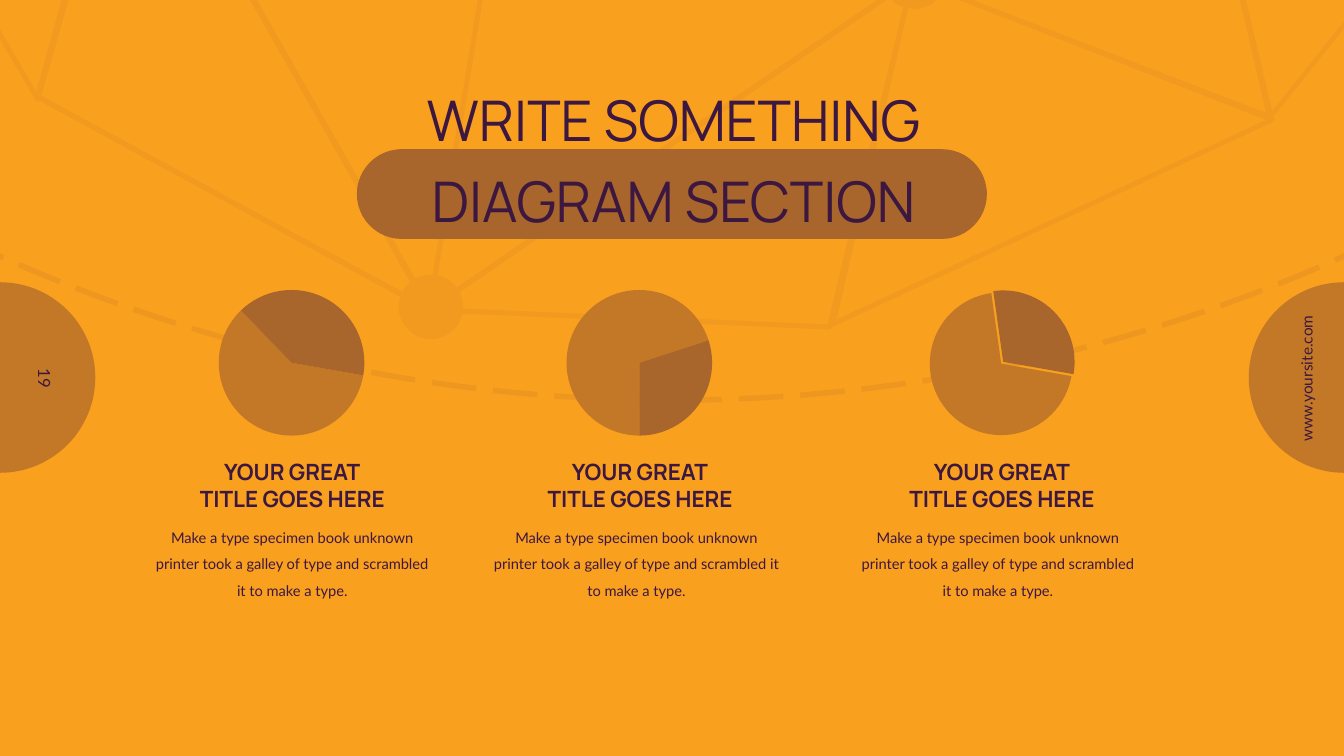
from math import asin, cos, pi, radians, sin

from pptx import Presentation
from pptx.chart.data import CategoryChartData
from pptx.dml.color import RGBColor
from pptx.enum.chart import XL_CHART_TYPE as ChartType
from pptx.enum.dml import MSO_LINE_DASH_STYLE as Dash
from pptx.enum.shapes import MSO_SHAPE as Preset
from pptx.enum.text import MSO_ANCHOR as Anchor, PP_ALIGN as Align
from pptx.oxml import parse_xml
from pptx.oxml.ns import nsdecls, qn
from pptx.util import Inches, Pt

COLORS = {
    "background": "F9A01E",
    "ink": "3C1740",
    "disc": "C37827",
    "accent": "A8652C",
}
HEADING, BODY = "Manrope", "Lato"
CELL = 0.1  # inches per grid column and row
COLUMNS, ROWS = 133.33, 75


def grid(*lengths):
    return [Inches(length * CELL) for length in lengths]


def color(name):
    return RGBColor.from_string(COLORS[name])


def arc(center, radius, start, end, steps):
    """Points from one angle to another, in degrees, clockwise from the right."""
    angles = [radians(start + (end - start) * i / steps) for i in range(steps + 1)]
    return [(center[0] + radius * cos(a), center[1] + radius * sin(a)) for a in angles]


class SlideBuilder:
    def __init__(self, presentation):
        self.slide = presentation.slides.add_slide(presentation.slide_layouts[6])
        self.slide.background.fill.solid()
        self.slide.background.fill.fore_color.rgb = color("background")
        self.shapes = self.slide.shapes

    def fade(self, shape, percent):
        for fill in shape.element.spPr.iter(qn("a:srgbClr")):
            fill.append(parse_xml(f'<a:alpha {nsdecls("a")} val="{percent * 1000}"/>'))

    def solid(self, shape, fill):
        shape.shadow.inherit = False
        shape.fill.solid()
        shape.fill.fore_color.rgb = color(fill)
        shape.line.fill.background()

    def preset(self, kind, box, fill):
        shape = self.shapes.add_shape(kind, *grid(*box))
        self.solid(shape, fill)
        return shape

    def outline(self, points):
        points = [grid(*point) for point in points]
        builder = self.shapes.build_freeform(*points[0])
        builder.add_line_segments(points[1:], close=True)
        return builder.convert_to_shape()

    def veil(self, points, percent):
        shape = self.outline(points)
        self.solid(shape, "ink")
        self.fade(shape, percent)

    def dashes(self, points, width, percent):
        shape = self.outline(points)
        shape.shadow.inherit = False
        shape.fill.background()
        shape.line.color.rgb = color("ink")
        shape.line.width = Pt(width)
        shape.line.dash_style = Dash.LONG_DASH
        self.fade(shape, percent)

    def text(self, box, lines, size, font, bold=False, spacing=None,
             rotation=0, wrap=True, anchor=Anchor.TOP, inset=0):
        shape = self.shapes.add_textbox(*grid(*box))
        shape.rotation = rotation
        frame = shape.text_frame
        frame.word_wrap = wrap
        frame.vertical_anchor = anchor
        frame.margin_left = frame.margin_right = Inches(inset)
        frame.margin_top = frame.margin_bottom = Inches(inset / 2)
        frame.text = "\n".join(lines)
        for paragraph in frame.paragraphs:
            paragraph.alignment = Align.CENTER
            paragraph.line_spacing = spacing
            paragraph.font.size = Pt(size)
            paragraph.font.name = font
            paragraph.font.bold = bold
            paragraph.font.color.rgb = color("ink")

    def pie(self, box, values, start, explosion=0):
        data = CategoryChartData()
        data.categories = ["1", "2"]
        data.add_series("Series 1", values)
        chart = self.shapes.add_chart(ChartType.PIE, *grid(*box), data).chart
        chart.has_legend = chart.has_title = False
        chart.font.size = Pt(10)
        chart.font.name = BODY
        chart.font.color.rgb = color("background")
        plot = chart.plots[0]
        plot.vary_by_categories = True
        series = plot.series[0]
        for index, fill in enumerate(["disc", "accent"]):
            point = series.points[index].format
            point.fill.solid()
            point.fill.fore_color.rgb = color(fill)
            point.line.fill.background()
        pie = series._element.getparent()
        for angle in pie.findall(qn("c:firstSliceAng")):
            pie.remove(angle)
        pie.append(parse_xml(f'<c:firstSliceAng {nsdecls("c")} val="{start}"/>'))
        if explosion:
            series._element.find(qn("c:dPt")).addprevious(
                parse_xml(f'<c:explosion {nsdecls("c")} val="{explosion}"/>'))
        # The pie fills its whole frame
        area = pie.getparent()
        for layout in area.findall(qn("c:layout")):
            area.remove(layout)
        sizes = {"x": 0, "y": 0, "w": 0.99, "h": 1}
        area.insert(0, parse_xml(
            f'<c:layout {nsdecls("c")}><c:manualLayout><c:layoutTarget val="inner"/>'
            '<c:xMode val="edge"/><c:yMode val="edge"/>'
            + "".join(f'<c:{key} val="{value}"/>' for key, value in sizes.items())
            + "</c:manualLayout></c:layout>"))


def network():
    """Links that meet in a round hub, as one outline."""
    def hub(start, end, steps=6):
        return arc((42.75, 30.45), 3.2, start, end, steps)

    return [
        (-2.3, 0), (-1.7, 0), (3.6, 9.1), (6.1, 0), (6.8, 0), (4.1, 9.5),
        *hub(208, 230), (24.8, 0), (25.5, 0),
        *hub(241, 273), (47.4, 0), (47.9, 0),
        *hub(282, 323), (87, 0), (88, 0),
        *hub(333, 363), (82.1, 32.2), (89.6, 0.7), (88.8, 0.4), (88.5, 0),
        (92.9, 0), (92.5, 0.4), (91.1, 0.9), (90.1, 0.8), (83, 31.7),
        (125.6, 11.9), (95.1, 0), (96.5, 0), (125.6, 11.2), (123, 0),
        (123.6, 0), (126.2, 11), (135, 0), (135.6, 0), (126.3, 11.6),
        (126.5, 11.8), (126.3, 12.1), (82.7, 32.4), (82.3, 32.7),
        *hub(12, 198, 30), (3.9, 10), (3.7, 10.1), (3.5, 9.9),
    ]


def dome():
    """A wide frame whose lower edge is a shallow arc."""
    radius, bottom, half = 162.7, 39.7, 69.1
    middle = COLUMNS / 2
    spread = asin(half / radius) * 180 / pi
    curve = arc((middle, bottom - radius), radius, 90 - spread, 90 + spread, 80)
    return [(-9.5, -9.1), (142.8, -9.1), (142.8, 20.8), *curve, (-9.5, 20.8)]


def main():
    presentation = Presentation()
    presentation.slide_width, presentation.slide_height = grid(COLUMNS, ROWS)
    builder = SlideBuilder(presentation)

    # Side discs with page number and address
    for edge in (0, COLUMNS):
        builder.preset(Preset.OVAL, (edge - 9.45, 28, 18.9, 18.9), "disc")
    builder.text((-0.3, 33.1, 9.5, 8.9), ["19"], 12, BODY, rotation=90,
                 anchor=Anchor.MIDDLE, inset=0.1)
    builder.text((122.3, 36.1, 14.7, 2.9), ["www.yoursite.com"], 11, BODY,
                 rotation=270, wrap=False, inset=0.1)

    # Background pattern
    builder.veil(network(), 4)
    builder.dashes(dome(), 4, 5)

    # Heading
    pill = builder.preset(Preset.ROUNDED_RECTANGLE, (35.4, 14.8, 62.5, 8.9), "accent")
    pill.adjustments[0] = 0.5
    builder.text((13.7, 7.2, 106.2, 15.5), ["WRITE SOMETHING", "DIAGRAM SECTION"],
                 40, HEADING, spacing=1.2)

    # Pies with captions: pie left, title left, body left, body width
    topics = [
        (21.7, 18, 15, 28, (60, 40), 100, 0),
        (56.2, 52.5, 49, 28.3, (70, 30), 180, 0),
        (92.2, 88.4, 84.9, 28.2, (70, 30), 100, 2),
    ]
    body = ("Make a type specimen book unknown printer took a galley of type "
            "and scrambled it to make a type.")
    for pie_left, title_left, body_left, body_width, values, start, explosion in topics:
        builder.pie((pie_left, 28.7, 14.6, 14.6), values, start, explosion)
        builder.text((title_left, 45.5, 22, 5.4), ["YOUR GREAT", "TITLE GOES HERE"],
                     16, HEADING, bold=True)
        builder.text((body_left, 51.6, body_width, 7.6), [body], 10.5, BODY, spacing=1.5)

    presentation.save("out.pptx")


if __name__ == "__main__":
    main()
